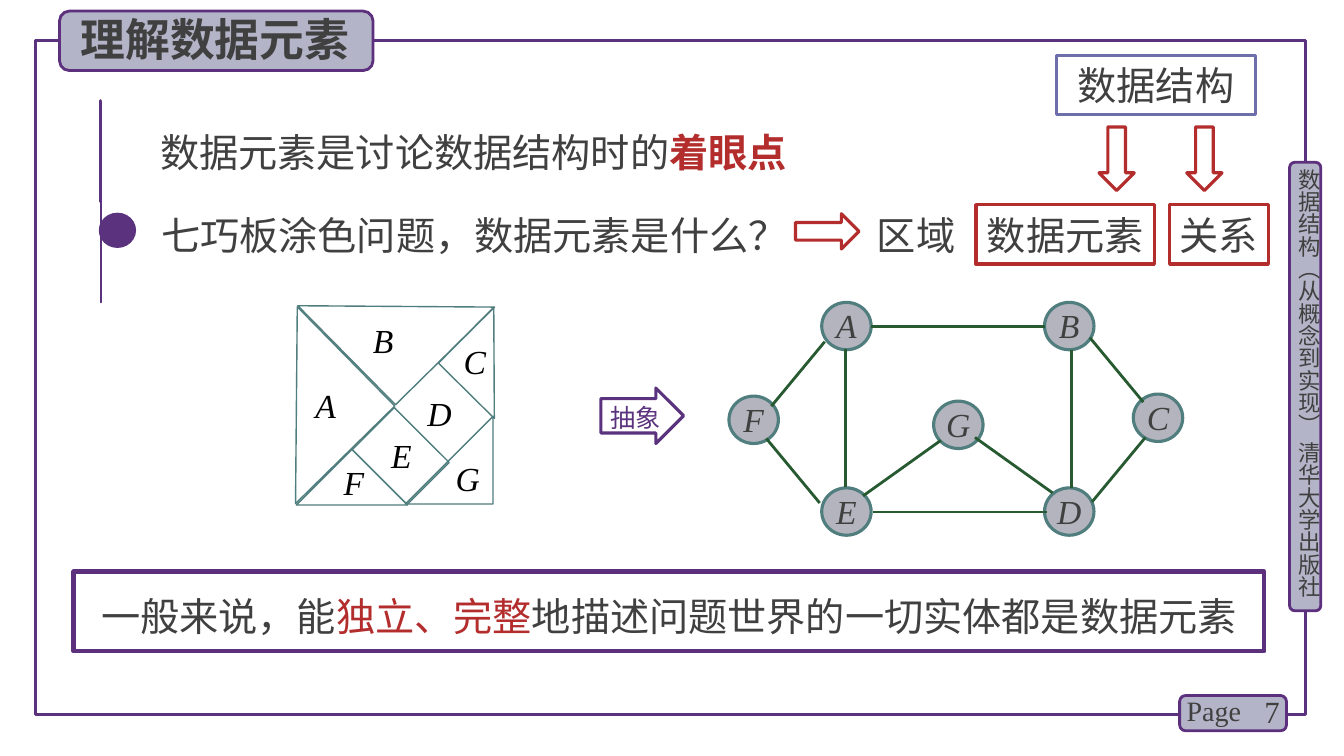
from math import cos, pi, sin

from lxml import etree
from pptx import Presentation
from pptx.dml.color import RGBColor
from pptx.enum.shapes import MSO_CONNECTOR, MSO_SHAPE as SHAPE
from pptx.enum.text import MSO_ANCHOR as ANCHOR, PP_ALIGN as ALIGN
from pptx.oxml.ns import qn
from pptx.util import Inches, Pt

CHINESE, ROMAN = "Noto Sans CJK SC", "Times New Roman"
PURPLE, FRAME, LILAC, RED = "5C307D", "5A327D", "B4B4C8", "B42D2D"
GREY, TEAL, GREEN, NODE = "404040", "507D7D", "285A32", "B4B4BE"

presentation = Presentation()
presentation.slide_width, presentation.slide_height = Inches(13.33), Inches(7.5)
slide = presentation.slides.add_slide(presentation.slide_layouts[6])


def color(value):
    return RGBColor.from_string(value)


def paint(shape, fill=None, line=None, weight=1):
    shape.shadow.inherit = False
    if fill:
        shape.fill.solid()
        shape.fill.fore_color.rgb = color(fill)
    else:
        shape.fill.background()
    if line:
        shape.line.color.rgb = color(line)
        shape.line.width = Pt(weight)
    else:
        shape.line.fill.background()
    return shape


def add_preset(kind, left, top, width, height, rotation=0, **style):
    shape = slide.shapes.add_shape(kind, Inches(left), Inches(top), Inches(width), Inches(height))
    shape.rotation = rotation
    return paint(shape, **style)


def add_outline(points, closed=False, **style):
    builder = slide.shapes.build_freeform(*points[0], scale=Inches(1))
    builder.add_line_segments(points[1:], close=closed)
    return paint(builder.convert_to_shape(), **style)


def add_edge(x1, y1, x2, y2):
    edge = slide.shapes.add_connector(
        MSO_CONNECTOR.STRAIGHT, Inches(x1), Inches(y1), Inches(x2), Inches(y2))
    edge.line.color.rgb = color(GREEN)
    edge.line.width = Pt(2)
    etree.SubElement(edge._element.spPr, qn("a:effectLst"))


def write(shape, text, size=28, font=CHINESE, ink=GREY, bold=False, italic=False,
          align=ALIGN.LEFT, anchor=ANCHOR.TOP, spacing=None, insets=(0.1, 0.05, 0.1, 0.05),
          wrap=False):
    """Text is a string, or a list of (string, colour, bold) runs."""
    frame = shape.text_frame
    frame.word_wrap, frame.vertical_anchor = wrap, anchor
    frame.margin_left, frame.margin_top, frame.margin_right, frame.margin_bottom = map(Inches, insets)
    paragraph = frame.paragraphs[0]
    paragraph.alignment = align
    if spacing:
        paragraph.line_spacing = spacing
    for words, run_ink, run_bold in [(text, ink, bold)] if isinstance(text, str) else text:
        run = paragraph.add_run()
        run.text = words
        run.font.size, run.font.name = Pt(size), font
        run.font.bold, run.font.italic = run_bold, italic
        run.font.color.rgb = color(run_ink)
        etree.SubElement(run._r.get_or_add_rPr(), qn("a:ea"), typeface=font)
    return shape


def add_text(left, top, width, height, text, **style):
    box = slide.shapes.add_textbox(Inches(left), Inches(top), Inches(width), Inches(height))
    return write(box, text, **style)


def half_turn(start, end, steps=16):
    """Points of the clockwise semicircle from start to end."""
    cx, cy = (start[0] + end[0]) / 2, (start[1] + end[1]) / 2
    dx, dy = start[0] - cx, start[1] - cy
    angles = [pi * step / steps for step in range(steps + 1)]
    return [(cx + dx * cos(a) - dy * sin(a), cy + dx * sin(a) + dy * cos(a)) for a in angles]


def shift(points, left, top):
    return [(left + x, top + y) for x, y in points]


def draw_frame(left, top, width, height):
    add_preset(SHAPE.RECTANGLE, left, top, width, height, line=FRAME, weight=2.25)
    right, bottom = left + width, top + height
    badge = dict(fill=LILAC, line=PURPLE, weight=2)
    # Side label
    add_preset(SHAPE.ROUNDED_RECTANGLE, right - 0.16, top + 1.21, 0.31, 4.45, **badge)
    side = add_text(right - 0.1, top + 1.27, 0.27, 4.49, "数据结构（从概念到实现） 清华大学出版社",
                    size=16, insets=(0, 0, 0, 0), wrap=True)
    side.text_frame._txBody.bodyPr.set("vert", "eaVert")
    # Page number
    add_preset(SHAPE.ROUNDED_RECTANGLE, right - 1.25, bottom - 0.19, 1.06, 0.35, **badge)
    add_text(right - 0.75, bottom - 0.23, 0.59, 0.4, "7", size=22, font=ROMAN,
             align=ALIGN.RIGHT, anchor=ANCHOR.MIDDLE, wrap=True)
    add_text(right - 1.28, bottom - 0.26, 0.78, 0.44, "Page", size=20, font=ROMAN)
    # Title
    add_preset(SHAPE.ROUNDED_RECTANGLE, left + 0.24, top - 0.29, 3.11, 0.59, **badge)
    add_text(left + 0.35, top - 0.33, 3.02, 0.64, "理解数据元素", size=32, bold=True)


def draw_structure(left, top):
    def label(x, y, width, text, ink, weight):
        box = add_preset(SHAPE.RECTANGLE, left + x, top + y, width, 0.59, line=ink, weight=weight)
        write(box, text, align=ALIGN.CENTER, anchor=ANCHOR.MIDDLE, insets=(0, 0.05, 0, 0.05))

    label(0.8, 0, 1.97, "数据结构", "6E6EAA", 2)
    label(0, 1.48, 1.77, "数据元素", RED, 2.25)
    label(1.92, 1.48, 0.98, "关系", RED, 2.25)
    for x in (1.08, 1.95):
        add_preset(SHAPE.RIGHT_ARROW, left + x, top + 0.85, 0.63, 0.35, 90, line=RED, weight=2.25)


def draw_paperclip(left, top):
    turns = [((0.31, 0.11), (0.39, 0.2)), ((0.18, 0.43), (0.05, 0.29)), ((0.26, 0.06), (0.44, 0.26))]
    wire = [(0.12, 0.32)] + [p for turn in turns for p in half_turn(*turn)] + [(0.28, 0.44)]
    add_outline(shift(wire, left, top), line=FRAME, weight=2.25)


def draw_clock(left, top):
    for start, end in [((0.02, 0.13), (0.15, 0.04)), ((0.33, 0.04), (0.45, 0.13))]:
        add_outline(shift(half_turn(start, end), left, top), closed=True, fill=FRAME)
    add_preset(SHAPE.OVAL, left + 0.05, top + 0.05, 0.37, 0.35, fill=FRAME)
    legs = [(0.1, 0.47), (0.14, 0.42), (0.34, 0.42), (0.38, 0.47)]
    add_outline(shift(legs, left, top), line=FRAME, weight=1.25)
    hands = [(0.24, 0.1), (0.24, 0.22), (0.31, 0.22)]
    add_outline(shift(hands, left, top), line="FFFFFF", weight=2)


def draw_points(left, top):
    draw_paperclip(left, top + 0.05)
    add_text(left + 0.58, top, 7.08, 0.76, spacing=1.2,
             text=[("数据元素是讨论数据结构时的", GREY, False), ("着眼点", RED, True)])
    draw_clock(left + 0.02, top + 0.93)
    add_text(left + 0.59, top + 0.82, 6.3, 0.76, "七巧板涂色问题，数据元素是什么？", spacing=1.2)
    add_preset(SHAPE.RIGHT_ARROW, left + 6.98, top + 0.99, 0.63, 0.35, line=RED, weight=2.25)
    add_text(left + 7.69, top + 0.82, 1.17, 0.76, "区域", spacing=1.2)


def draw_tangram(left, top):
    triangle = SHAPE.RIGHT_TRIANGLE
    pieces = [(triangle, -0.7, 0.28, 1.38, 1.38, 225.5), (triangle, 0.15, 1.57, 0.78, 0.78, 135),
              (SHAPE.RECTANGLE, 0.73, 1.09, 0.59, 0.77, 315), (triangle, 1.56, 0.16, 0.78, 0.78, 44.7),
              (triangle, 1.07, 1.08, 0.87, 0.87, 270), (triangle, 0.29, -0.7, 1.38, 1.38, 315.4)]
    # Mirrored about the vertical axis, a right triangle keeps its right angle at the lower left
    for kind, x, y, width, height, rotation in pieces:
        add_preset(kind, left + x, top + y, width, height, rotation, line=TEAL)
    labels = {"A": (0.08, 0.72), "B": (0.65, 0.07), "C": (1.55, 0.28), "D": (1.19, 0.8),
              "E": (0.83, 1.22), "F": (0.36, 1.48), "G": (1.47, 1.44)}
    for name, (x, y) in labels.items():
        add_text(left + x, top + y, 0.48, 0.5, name, size=24, font=ROMAN, ink="000000", italic=True)


def draw_graph(left, top):
    nodes = {"A": (0.92, 0), "B": (3.13, 0), "C": (4.01, 0.91), "D": (3.13, 1.84),
             "E": (0.92, 1.84), "F": (0, 0.93), "G": (2.03, 0.98)}
    edges = [(1.41, 0.24, 3.13, 0.24), (2.1, 1.37, 1.33, 1.92), (1.16, 0.46, 1.16, 1.83),
             (3.4, 0.47, 3.4, 1.84), (1.43, 2.08, 3.15, 2.08), (2.44, 1.34, 3.21, 1.89),
             (0.95, 0.39, 0.42, 1.03), (0.9, 1.99, 0.37, 1.35), (4.13, 1.34, 3.6, 1.98),
             (4.11, 0.99, 3.58, 0.35)]
    for name, (x, y) in nodes.items():
        node = add_preset(SHAPE.OVAL, left + x, top + y, 0.49, 0.47, fill=NODE, line=TEAL, weight=2.25)
        write(node, name, size=24, font=ROMAN, italic=True, align=ALIGN.CENTER,
              spacing=Pt(26), insets=(0, 0, 0, 0))
    for x1, y1, x2, y2 in edges:
        add_edge(left + x1, top + y1, left + x2, top + y2)


def draw_abstraction(left, top):
    arrow = add_preset(SHAPE.RIGHT_ARROW, left, top, 0.82, 0.55, line=FRAME, weight=2.25)
    arrow.adjustments[0] = 0.62
    write(arrow, "抽象", size=18, ink=FRAME, align=ALIGN.CENTER, anchor=ANCHOR.MIDDLE,
          spacing=Pt(24), insets=(0.04, 0, 0, 0))


def draw_conclusion(left, top, width, height):
    box = add_preset(SHAPE.RECTANGLE, left, top, width, height, line=PURPLE, weight=3)
    write(box, [("一般来说，能", GREY, False), ("独立、完整", RED, False),
                ("地描述问题世界的一切实体都是数据元素", GREY, False)],
          align=ALIGN.CENTER, anchor=ANCHOR.MIDDLE, spacing=Pt(40), wrap=True)


draw_frame(0.35, 0.4, 12.6, 6.69)
draw_conclusion(0.73, 5.67, 11.81, 0.79)
draw_structure(9.68, 0.55)
draw_points(0.91, 1.13)
draw_tangram(2.95, 3.05)
draw_abstraction(5.96, 3.85)
draw_graph(7.23, 3)
presentation.save("out.pptx")
